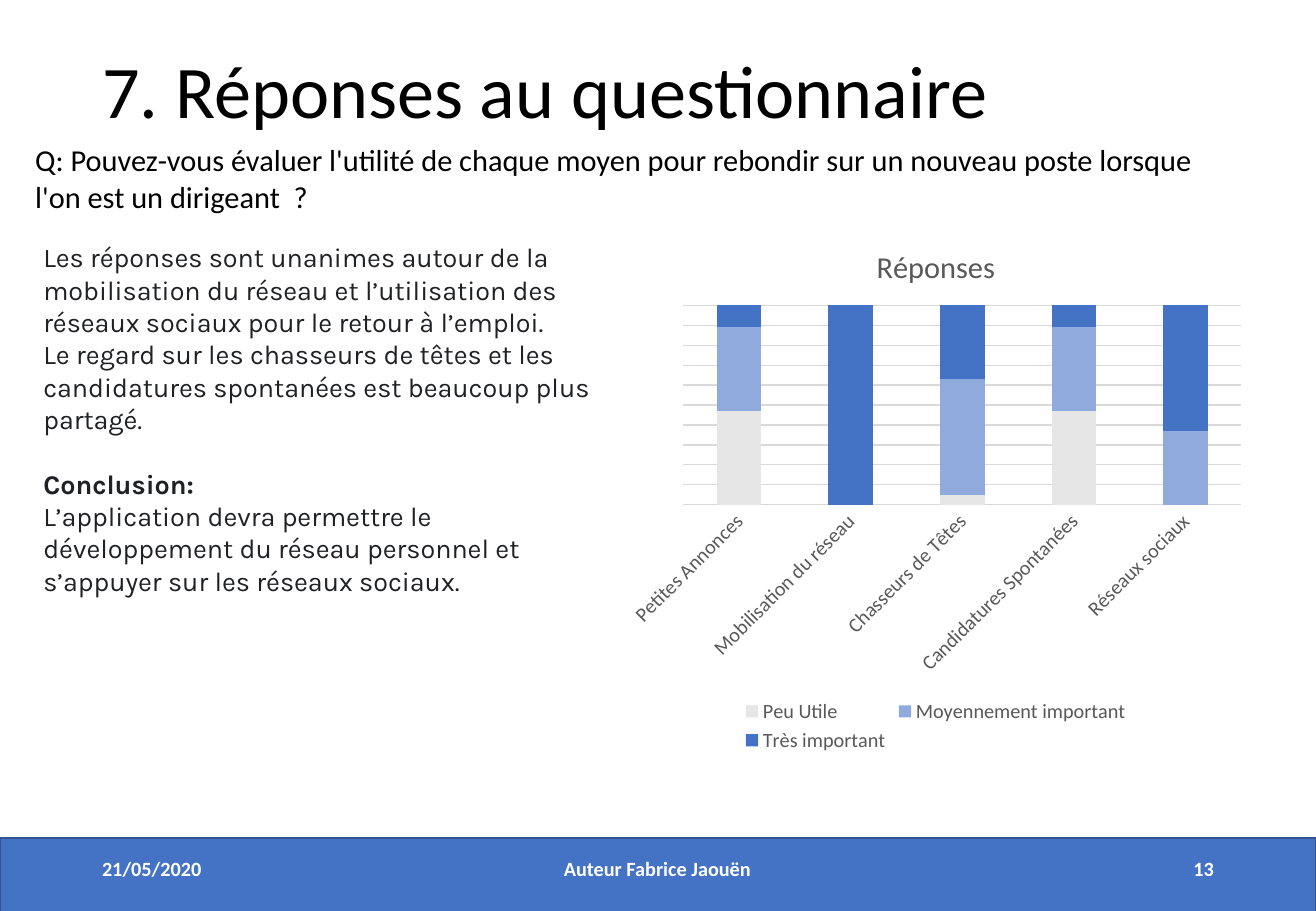
from pptx import Presentation
from pptx.chart.data import CategoryChartData as ChartData
from pptx.dml.color import RGBColor
from pptx.enum.chart import XL_CHART_TYPE as Kind
from pptx.enum.chart import XL_LEGEND_POSITION as Legend
from pptx.enum.chart import XL_TICK_LABEL_POSITION as Label
from pptx.enum.chart import XL_TICK_MARK as Tick
from pptx.enum.shapes import MSO_SHAPE as Shape
from pptx.enum.text import MSO_ANCHOR as Anchor
from pptx.enum.text import MSO_AUTO_SIZE as Fit
from pptx.enum.text import PP_ALIGN as Align
from pptx.util import Emu, Pt

PX = 7620  # 120 px to the inch

BLACK = RGBColor(0x00, 0x00, 0x00)
WHITE = RGBColor(0xFF, 0xFF, 0xFF)
INK = RGBColor(0x20, 0x21, 0x24)
GREY = RGBColor(0x59, 0x59, 0x59)
RULE = RGBColor(0xD9, 0xD9, 0xD9)
PALE = RGBColor(0xE7, 0xE6, 0xE6)
LIGHT = RGBColor(0x8F, 0xAA, 0xDC)
BLUE = RGBColor(0x44, 0x72, 0xC4)
NAVY = RGBColor(0x32, 0x54, 0x91)

ANSWERS = [
    "Les réponses sont unanimes autour de la mobilisation du réseau et "
    "l’utilisation des réseaux sociaux pour le retour à l’emploi.",
    "Le regard sur les chasseurs de têtes et les candidatures spontanées "
    "est beaucoup plus partagé.",
    "Conclusion:",
    "L’application devra permettre le développement du réseau personnel "
    "et s’appuyer sur les réseaux sociaux.",
]
MEANS = ["Petites Annonces", "Mobilisation du réseau", "Chasseurs de Têtes",
         "Candidatures Spontanées", "Réseaux sociaux"]
VOTES = [
    ("Peu Utile", PALE, (47, 0, 5, 47, 0)),
    ("Moyennement important", LIGHT, (42, 0, 58, 42, 37)),
    ("Très important", BLUE, (11, 100, 37, 11, 63)),
]


def scale(*box):
    return [Emu(n * PX) for n in box]


def style(font, size, color, name="Calibri", bold=False):
    font.size, font.name, font.bold = Pt(size), name, bold
    font.color.rgb = color


def add_text(slide, box, lines, size, color, name="Calibri", bold=False,
             align=Align.LEFT, anchor=Anchor.TOP):
    frame = slide.shapes.add_textbox(*scale(*box)).text_frame
    frame.word_wrap = True
    frame.vertical_anchor = anchor
    frame.text = "\n".join(lines)
    for para in frame.paragraphs:
        para.alignment = align
        style(para.runs[0].font, size, color, name, bold)
    return frame


def add_title(slide, box):
    title = slide.shapes.title
    title.left, title.top, title.width, title.height = scale(*box)
    frame = title.text_frame
    frame.text = "7. Réponses au questionnaire"
    frame.auto_size = Fit.NONE
    frame.vertical_anchor = Anchor.TOP
    para = frame.paragraphs[0]
    para.alignment = Align.LEFT
    para.line_spacing = 0.9
    style(para.runs[0].font, 44, BLACK)


def add_answers(slide, box):
    frame = add_text(slide, box, ANSWERS, 16, INK, "Karla")
    head = frame.paragraphs[2]
    head.space_before = Pt(19)
    head.runs[0].font.bold = True


def add_votes(slide, box):
    data = ChartData()
    data.categories = MEANS
    for name, _, vals in VOTES:
        data.add_series(name, vals)
    chart = slide.shapes.add_chart(
        Kind.COLUMN_STACKED_100, *scale(*box), data).chart
    style(chart.font, 10, BLACK)

    # Title and legend
    chart.has_title = True
    head = chart.chart_title.text_frame
    head.text = "Réponses"
    style(head.paragraphs[0].runs[0].font, 18, GREY)
    chart.has_legend = True
    chart.legend.position = Legend.BOTTOM
    chart.legend.include_in_layout = False
    style(chart.legend.font, 12, GREY)

    # Columns
    plot = chart.plots[0]
    plot.gap_width, plot.overlap = 150, 100
    plot.vary_by_categories = False
    for series, (_, color, _) in zip(plot.series, VOTES):
        series.format.fill.solid()
        series.format.fill.fore_color.rgb = color

    # Axes
    cat, val = chart.category_axis, chart.value_axis
    for axis in (cat, val):
        axis.major_tick_mark = axis.minor_tick_mark = Tick.NONE
        style(axis.tick_labels.font, 12, GREY)
    val.tick_label_position = Label.NONE
    val.format.line.fill.background()
    val.has_major_gridlines = True
    for line in (cat.format.line, val.major_gridlines.format.line):
        line.color.rgb = RULE
        line.width = Pt(0.75)


def add_footer(slide, box):
    left, top, width, height = box
    bar = slide.shapes.add_shape(Shape.RECTANGLE, *scale(*box))
    bar.shadow.inherit = False
    bar.fill.solid()
    bar.fill.fore_color.rgb = BLUE
    bar.line.color.rgb = NAVY
    bar.line.width = Pt(1)
    side, mid, edge = 293, 439, 89
    parts = [
        ("21/05/2020", left + edge, side, Align.LEFT),
        ("Auteur Fabrice Jaouën", left + (width - mid) // 2, mid,
         Align.CENTER),
        ("13", left + width - edge - side, side, Align.RIGHT),
    ]
    for text, x, wide, align in parts:
        add_text(slide, (x, top + 6, wide, 48), [text], 12, WHITE,
                 bold=True, align=align, anchor=Anchor.MIDDLE)


def main():
    deck = Presentation()
    deck.slide_width, deck.slide_height = scale(1300, 900)
    slide = deck.slides.add_slide(deck.slide_layouts[5])
    add_footer(slide, (0, 828, 1300, 76))
    add_title(slide, (89, 48, 1121, 174))
    add_text(slide, (23, 134, 1206, 85), [
        "Q: Pouvez-vous évaluer l'utilité de chaque moyen pour rebondir sur "
        "un nouveau poste lorsque l'on est un dirigeant  ?"], 18, BLACK)
    add_answers(slide, (31, 232, 578, 367))
    add_votes(slide, (610, 220, 629, 528))
    deck.save("out.pptx")


if __name__ == "__main__":
    main()
